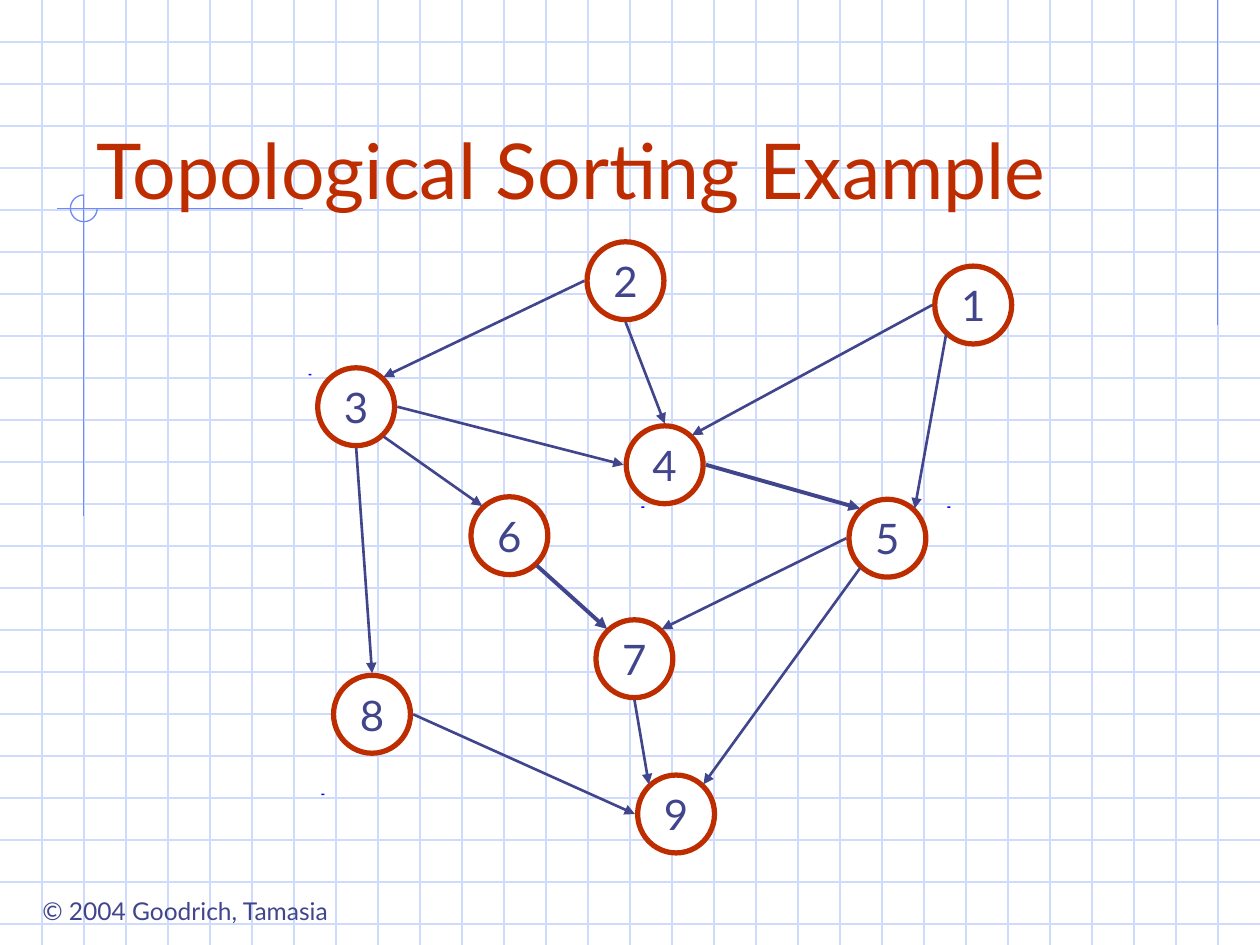
from lxml import etree
from pptx import Presentation
from pptx.dml.color import RGBColor
from pptx.enum import shapes, text
from pptx.oxml.ns import qn
from pptx.util import Cm, Pt

TITLE = "Topological Sorting Example"
COPYRIGHT = "© 2004 Goodrich, Tamasia"

# Vertex label: centre in cm, in drawing order
VERTICES = {
    "2": (12.61, 5.66), "7": (12.79, 13.28), "4": (13.4, 9.37),
    "8": (7.5, 14.4), "5": (17.89, 10.85), "6": (10.27, 10.8),
    "1": (19.62, 6.15), "3": (7.18, 8.2), "9": (13.63, 16.41),
}
# From vertex, side it leaves, to vertex, side it reaches, weight
EDGES = [
    ("2", "W", "3", "NE", "edge"), ("2", "S", "4", "N", "edge"),
    ("1", "W", "4", "NE", "edge"), ("5", "W", "7", "NE", "edge"),
    ("5", "SW", "9", "NE", "edge"), ("8", "E", "9", "W", "edge"),
    ("7", "S", "9", "NW", "edge"), ("6", "SE", "7", "NW", "bold_edge"),
    ("3", "SE", "6", "NW", "edge"), ("3", "S", "8", "N", "edge"),
    ("3", "E", "4", "W", "edge"), ("4", "E", "5", "NW", "bold_edge"),
    ("1", "SW", "5", "NE", "edge"),
]
# Offsets in cm from a vertex centre to where an edge meets its outline
SIDES = {
    "N": (0, -0.83), "S": (0, 0.83), "W": (-0.83, 0), "E": (0.83, 0),
    "NW": (-0.55, -0.6), "NE": (0.55, -0.6),
    "SW": (-0.55, 0.6), "SE": (0.55, 0.6),
}
RULES = [(24.55, 0, 24.55, 6.55), (6.1, 4.21, 1.14, 4.21), (1.69, 3.93, 1.69, 10.4)]
DASHES = [(6.22, 7.54), (12.93, 10.21), (19.1, 10.21), (6.48, 16.0)]

THEME = {
    "font": "Lato",
    "colour": {
        "grid": "CFDBFD", "rule": "6F89F7", "ink": "40458C",
        "accent": "BE2D00", "paper": "FFFFFF", "dash": "0000FF",
    },
    "size": {"title": 44, "vertex": 24, "copyright": 14},
    "width": {"thin": 0.75, "edge": 1.5, "bold_edge": 2.25, "outline": 3},
}
PAGE_W, PAGE_H = 25.4, 19.05
GRID_STEP = 2.54 / 3
VERTEX_W, VERTEX_H = 1.55, 1.57


def colour(name):
    return RGBColor.from_string(THEME["colour"][name])


def write(frame, words, role, ink, align):
    frame.text = words
    frame.auto_size = text.MSO_AUTO_SIZE.NONE
    paragraph = frame.paragraphs[0]
    paragraph.alignment = align
    paragraph.font.name = THEME["font"]
    paragraph.font.size = Pt(THEME["size"][role])
    paragraph.font.color.rgb = colour(ink)


def draw_line(canvas, ends, ink, weight, arrow=False):
    line = canvas.add_connector(shapes.MSO_CONNECTOR.STRAIGHT, *map(Cm, ends))
    line.line.color.rgb = colour(ink)
    line.line.width = Pt(THEME["width"][weight])
    properties = line.element.spPr
    if arrow:
        etree.SubElement(properties.find(qn("a:ln")), qn("a:tailEnd"), type="triangle")
    etree.SubElement(properties, qn("a:effectLst"))


def draw_backdrop(canvas):
    for row in range(1, int(PAGE_H / GRID_STEP) + 1):
        y = row * GRID_STEP
        draw_line(canvas, (0, y, PAGE_W, y), "grid", "thin")
    for column in range(1, round(PAGE_W / GRID_STEP)):
        x = column * GRID_STEP
        draw_line(canvas, (x, 0, x, PAGE_H), "grid", "thin")
    for rule in RULES:
        draw_line(canvas, rule, "rule", "thin")
    ring = canvas.add_shape(shapes.MSO_SHAPE.ARC, Cm(1.42), Cm(3.93), Cm(0.54), Cm(0.54))
    ring.adjustments[0], ring.adjustments[1] = 0, 162  # right, clockwise to top
    ring.shadow.inherit = False
    ring.fill.background()
    ring.line.color.rgb = colour("rule")
    ring.line.width = Pt(THEME["width"]["thin"])


def draw_dash(canvas, x, y):
    dash = canvas.add_shape(shapes.MSO_SHAPE.RECTANGLE, Cm(x), Cm(y), Cm(0.06), Cm(0.03))
    dash.shadow.inherit = False
    dash.fill.solid()
    dash.fill.fore_color.rgb = colour("dash")
    dash.line.fill.background()


def draw_vertex(canvas, label, x, y):
    vertex = canvas.add_shape(
        shapes.MSO_SHAPE.OVAL, Cm(x - VERTEX_W / 2), Cm(y - VERTEX_H / 2),
        Cm(VERTEX_W), Cm(VERTEX_H))
    vertex.shadow.inherit = False
    vertex.fill.solid()
    vertex.fill.fore_color.rgb = colour("paper")
    vertex.line.color.rgb = colour("accent")
    vertex.line.width = Pt(THEME["width"]["outline"])
    write(vertex.text_frame, label, "vertex", "ink", text.PP_ALIGN.CENTER)
    vertex.text_frame.word_wrap = False
    vertex.text_frame.vertical_anchor = text.MSO_ANCHOR.MIDDLE


def edge_end(vertex, side):
    return tuple(c + d for c, d in zip(VERTICES[vertex], SIDES[side]))


def main():
    deck = Presentation()
    deck.slide_width, deck.slide_height = Cm(PAGE_W), Cm(PAGE_H)
    slide = deck.slides.add_slide(deck.slide_layouts[5])
    canvas = slide.shapes

    draw_backdrop(canvas.add_group_shape().shapes)

    footer = canvas.add_textbox(Cm(0.41), Cm(17.93), Cm(6.65), Cm(0.86)).text_frame
    write(footer, COPYRIGHT, "copyright", "ink", text.PP_ALIGN.CENTER)
    footer.word_wrap = False

    title = canvas.title
    canvas.element.append(title.element)  # in front of the grid
    title.left, title.top, title.width, title.height = map(Cm, (1.69, 1.27, 21.59, 3.18))
    write(title.text_frame, TITLE, "title", "accent", text.PP_ALIGN.LEFT)
    title.text_frame.vertical_anchor = text.MSO_ANCHOR.BOTTOM

    for x, y in DASHES:
        draw_dash(canvas, x, y)
    for label, (x, y) in VERTICES.items():
        draw_vertex(canvas, label, x, y)
    for start, leaving, end, reaching, weight in EDGES:
        ends = edge_end(start, leaving) + edge_end(end, reaching)
        draw_line(canvas, ends, "ink", weight, arrow=True)

    deck.save("out.pptx")


if __name__ == "__main__":
    main()
